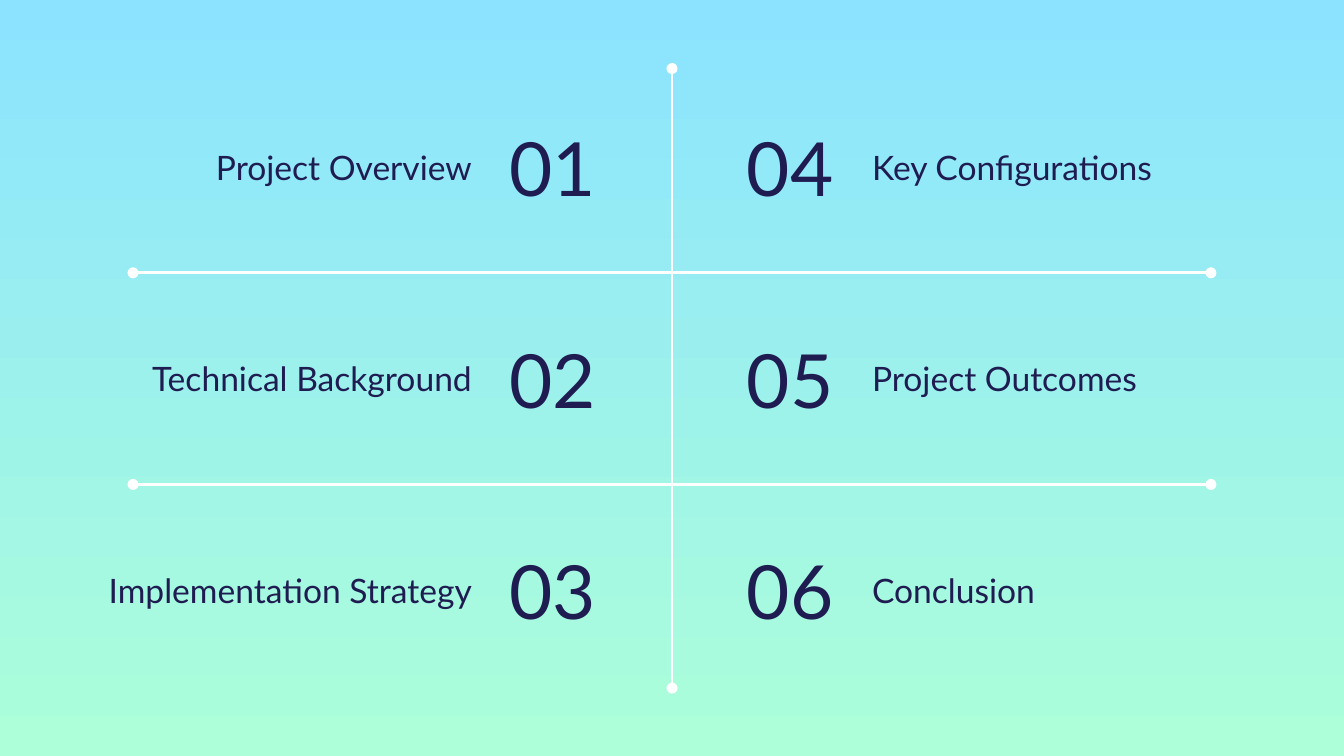
"""Build an agenda slide with six numbered topics in a ruled grid."""
from lxml.etree import SubElement
from pptx import Presentation
from pptx.dml.color import RGBColor as Rgb
from pptx.enum.shapes import MSO_CONNECTOR as Link
from pptx.enum.text import MSO_ANCHOR as Anchor, PP_ALIGN as Align
from pptx.oxml.ns import qn
from pptx.util import Inches, Pt

TOPICS = [
    [("01", "Project Overview", 2.98),
     ("02", "Technical Background", 2.98),
     ("03", "Implementation Strategy", 3.31)],
    [("04", "Key Configurations", 2.98),
     ("05", "Project Outcomes", 2.98),
     ("06", "Conclusion", 2.98)],
]
THEME = {
    "font": "Lato", "ink": "1F1C51", "rule": "FFFFFF",
    "sky": ("8BE3FF", "ACFFD9"), "num": 40, "label": 18, "line": 1.5,
}
WIDE = 10
HIGH = WIDE * 9 / 16
MID, PITCH = WIDE / 2, HIGH * 0.28
NUM_TOP, NUM_W, NUM_H = 0.81, 1.3, 0.86
TAG_TOP, TAG_H, TAG_GAP = 0.99, 0.5, 1.39
RULES = [
    (MID, 0.51, MID, 5.12),
    (0.99, 2.03, 9.01, 2.03),
    (0.99, 2.03 + PITCH, 9.01, 2.03 + PITCH),
]


def apply(item, style):
    for name, value in style.items():
        setattr(item, name, value)


def write(slide, text, box, size, align, anchor):
    frame = slide.shapes.add_textbox(*map(Inches, box)).text_frame
    inset = Inches(0.1)
    apply(frame, {
        "word_wrap": True, "vertical_anchor": anchor,
        "margin_left": inset, "margin_right": inset,
        "margin_top": inset, "margin_bottom": inset,
    })
    para = frame.paragraphs[0]
    para.alignment = align
    run = para.add_run()
    run.text = text
    apply(run.font, {"name": THEME["font"], "size": Pt(size)})
    run.font.color.rgb = Rgb.from_string(THEME["ink"])


def rule(slide, ends):
    link = slide.shapes.add_connector(Link.STRAIGHT, *map(Inches, ends))
    link.line.width = Pt(THEME["line"])
    link.line.color.rgb = Rgb.from_string(THEME["rule"])
    props = link._element.spPr
    edge = props.find(qn("a:ln"))
    for end in ("a:headEnd", "a:tailEnd"):
        SubElement(edge, qn(end), type="oval")
    SubElement(props, qn("a:effectLst"))


def paint(slide):
    fill = slide.background.fill
    fill.gradient()
    fill.gradient_angle = 270
    for stop, tint in zip(fill.gradient_stops, THEME["sky"]):
        stop.color.rgb = Rgb.from_string(tint)


def main():
    deck = Presentation()
    apply(deck, {"slide_width": Inches(WIDE), "slide_height": Inches(HIGH)})
    slide = deck.slides.add_slide(deck.slide_layouts[6])
    paint(slide)
    for ends in RULES:
        rule(slide, ends)
    for side, topics in enumerate(TOPICS):
        inner, outer = (Align.RIGHT, Align.LEFT) if side else (Align.LEFT, Align.RIGHT)
        for row, (num, label, width) in enumerate(topics):
            drop = row * PITCH
            left = MID if side else MID - NUM_W - 0.01
            write(slide, num, (left, NUM_TOP + drop, NUM_W, NUM_H),
                  THEME["num"], inner, Anchor.MIDDLE)
            left = MID + TAG_GAP if side else MID - TAG_GAP - width
            write(slide, label, (left, TAG_TOP + drop, width, TAG_H),
                  THEME["label"], outer, Anchor.BOTTOM)
    deck.save("out.pptx")


if __name__ == "__main__":
    main()
